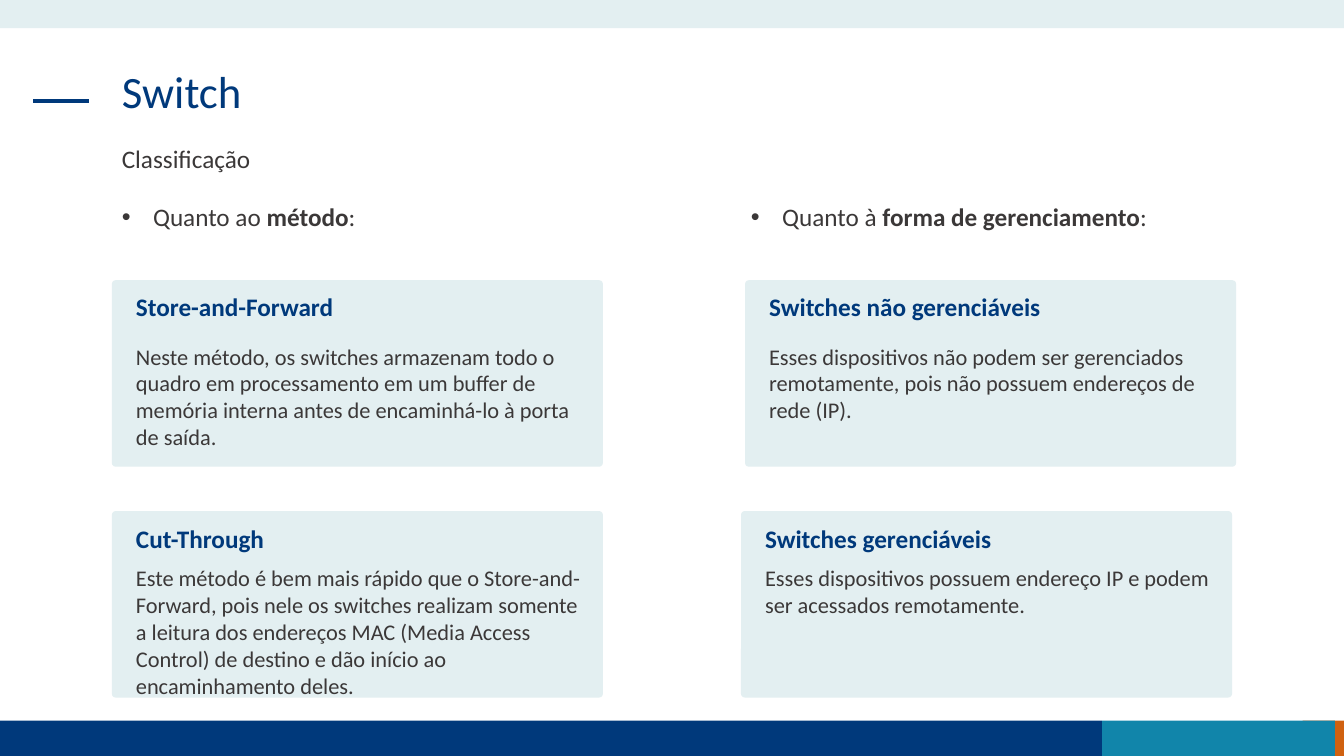
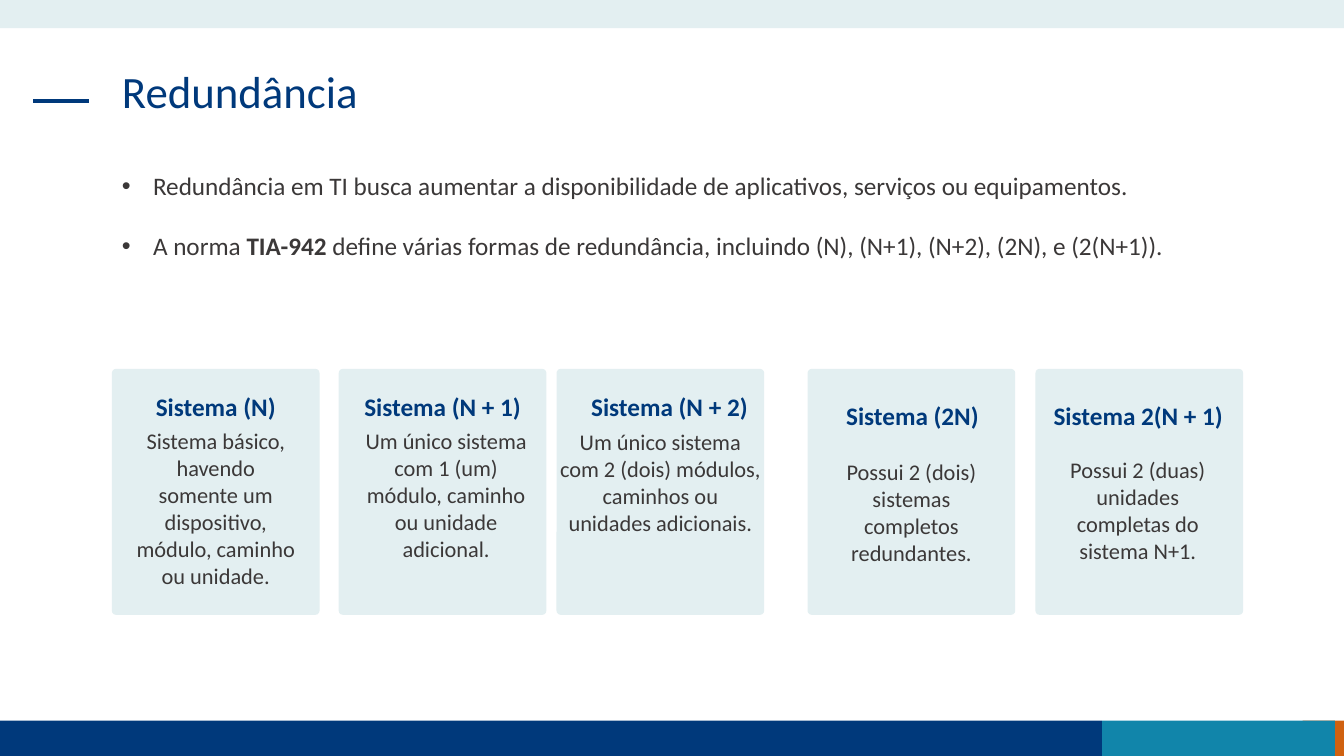
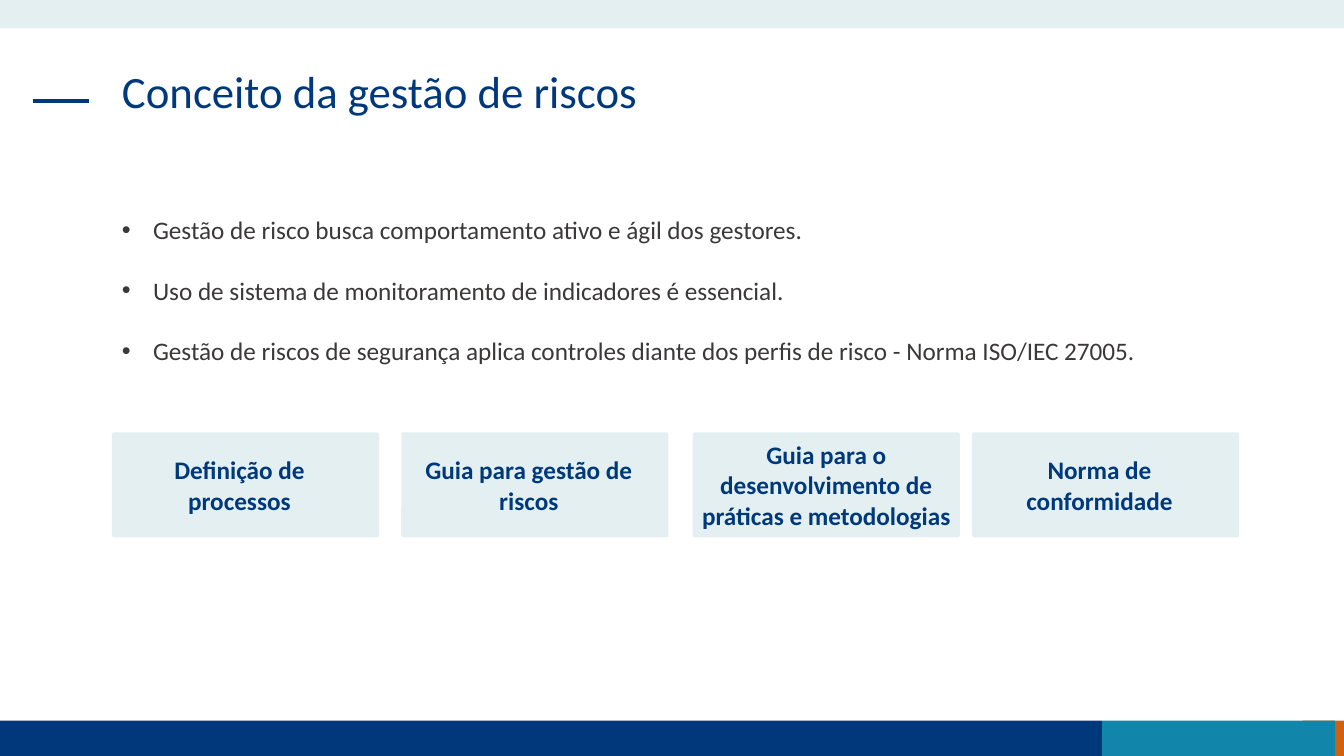
from lxml import etree
from pptx import Presentation
from pptx.dml.color import RGBColor
from pptx.enum import shapes, text
from pptx.oxml import ns
from pptx.util import Inches, Pt

FONT = "Calibri"
NAVY, TEAL, ORANGE, PALE, INK = "00397B", "1185AA", "D06110", "E3EFF1", "3B3838"
LEFT, WIDE = 1.11, 11.1

# Shared bands: left, top, width, height, colour
BANDS = [
    (12.92, 7.15, 0.41, 0.35, ORANGE),
    (0, 7.15, 10.93, 0.35, NAVY),
    (10.93, 7.15, 2.31, 0.35, TEAL),
    (0, 0, 13.33, 0.28, PALE),
]

# Switch: text between ** is bold
CRITERIA = [
    (LEFT, 2.99, "Quanto ao **método**:"),
    (7.35, 4.18, "Quanto à **forma de gerenciamento**:"),
]
SWITCH_CARD = (4.87, 1.85)
SWITCH_ROWS = [  # top, heading offset, body offset, body width, cards (left, heading, body)
    (2.78, 0.06, 0.57, 4.54, [
        (LEFT, "Store-and-Forward",
         "Neste método, os switches armazenam todo o quadro em processamento em um "
         "buffer de memória interna antes de encaminhá-lo à porta de saída."),
        (7.39, "Switches não gerenciáveis",
         "Esses dispositivos não podem ser gerenciados remotamente, pois não possuem "
         "endereços de rede (IP)."),
    ]),
    (5.07, 0.07, 0.48, 4.73, [
        (LEFT, "Cut-Through",
         "Este método é bem mais rápido que o Store-and-Forward, pois nele os switches "
         "realizam somente a leitura dos endereços MAC (Media Access Control) de destino "
         "e dão início ao encaminhamento deles."),
        (7.35, "Switches gerenciáveis",
         "Esses dispositivos possuem endereço IP e podem ser acessados remotamente."),
    ]),
]

# Redundância
REDUNDANCY_POINTS = [
    "Redundância em TI busca aumentar a disponibilidade de aplicativos, serviços ou equipamentos.",
    "A norma **TIA-942** define várias formas de redundância, incluindo (N), (N+1), (N+2), "
    "(2N), e (2(N+1)).",
]
SYSTEM_TOP, SYSTEM_CARD = 3.66, (2.06, 2.44)
SYSTEMS = [  # card left, heading (left, top, width), body (left, top, width), texts
    (1.11, (1.25, 3.83, 1.78), (1.25, 4.19, 1.78), "Sistema (N)",
     "Sistema básico, havendo somente um dispositivo, módulo, caminho ou unidade."),
    (3.36, (3.5, 3.83, 1.78), (3.43, 4.19, 1.99), "Sistema (N + 1)",
     "Um único sistema com 1 (um) módulo, caminho ou unidade adicional."),
    (5.52, (5.75, 3.83, 1.78), (5.45, 4.2, 2.2), "Sistema (N + 2)",
     "Um único sistema com 2 (dois) módulos, caminhos ou unidades adicionais."),
    (8.01, (8.16, 3.92, 1.78), (8.15, 4.5, 1.78), "Sistema (2N)",
     "Possui 2 (dois) sistemas completos redundantes."),
    (10.27, (10.33, 3.92, 1.92), (10.35, 4.48, 1.87), "Sistema 2(N + 1)",
     "Possui 2 (duas) unidades completas do sistema N+1."),
]

# Gestão de riscos
RISK_POINTS = [
    "Gestão de risco busca comportamento ativo e ágil dos gestores.",
    "Uso de sistema de monitoramento de indicadores é essencial.",
    "Gestão de riscos de segurança aplica controles diante dos perfis de risco - "
    "Norma ISO/IEC 27005.",
]
RISK_TOP, RISK_CARD = 4.29, (2.65, 1.04)
RISK_CARDS = [  # card left, text offset, text width, text
    (1.11, 0.12, 2.29, "Definição de processos"),
    (3.98, 0.12, 2.29, "Guia para gestão de riscos"),
    (6.87, -0.17, 2.99, "Guia para o desenvolvimento de práticas e metodologias"),
    (9.64, 0.12, 2.29, "Norma de conformidade"),
]


def rgb(value):
    return RGBColor.from_string(value)


def inches(*lengths):
    return [Inches(length) for length in lengths]


def add_bullet(paragraph):
    properties = paragraph._p.get_or_add_pPr()
    properties.set("marL", str(Inches(0.31)))
    properties.set("indent", str(-Inches(0.31)))
    etree.SubElement(properties, ns.qn("a:buFont")).set("typeface", "Arial")
    etree.SubElement(properties, ns.qn("a:buChar")).set("char", "•")


def write(frame, paragraphs, size=18, color=INK, bold=False, bullets=False,
          align=text.PP_ALIGN.LEFT, anchor=text.MSO_ANCHOR.TOP, gap=0, line=None):
    """Fill a text frame; every second part between ** marks is bold."""
    frame.word_wrap = True
    frame.auto_size = text.MSO_AUTO_SIZE.NONE
    frame.vertical_anchor = anchor
    for index, content in enumerate(paragraphs):
        paragraph = frame.add_paragraph() if index else frame.paragraphs[0]
        if bullets:
            add_bullet(paragraph)
        paragraph.alignment = align
        paragraph.line_spacing = line
        paragraph.space_before = Pt(gap if index else 0)
        for position, part in enumerate(content.split("**")):
            run = paragraph.add_run()
            run.text = part
            run.font.name, run.font.size = FONT, Pt(size)
            run.font.bold = bold or position % 2 == 1
            run.font.color.rgb = rgb(color)


def add_text(slide, box, *paragraphs, **style):
    write(slide.shapes.add_textbox(*inches(*box)).text_frame, paragraphs, **style)


def add_heading(slide, box, heading, **style):
    add_text(slide, box, heading, color=NAVY, bold=True, **style)


def add_block(slide, kind, box, color):
    block = slide.shapes.add_shape(kind, *inches(*box))
    block.shadow.inherit = False
    block.fill.solid()
    block.fill.fore_color.rgb = rgb(color)
    block.line.fill.background()
    return block


def add_card(slide, left, top, size):
    card = add_block(slide, shapes.MSO_SHAPE.ROUNDED_RECTANGLE, (left, top, *size), PALE)
    card.adjustments[0] = 0.02


def decorate_layout(layout, slide):
    """Draw the bands and title dash, then move them to the shared layout."""
    parts = [add_block(slide, shapes.MSO_SHAPE.RECTANGLE, box, color) for *box, color in BANDS]
    dash = slide.shapes.add_connector(shapes.MSO_CONNECTOR.STRAIGHT, *inches(0.33, 1, 0.88, 1))
    dash.line.color.rgb = rgb(NAVY)
    dash.line.width = Pt(3)
    etree.SubElement(dash.element.spPr, ns.qn("a:effectLst"))
    for part in parts + [dash]:
        layout.shapes.element.append(part.element)


def add_slide(deck, layout, title):
    slide = deck.slides.add_slide(layout)
    holder = slide.shapes.title
    holder.left, holder.top, holder.width, holder.height = inches(LEFT, 0.64, WIDE, 0.94)
    write(holder.text_frame, [title], size=32, color=NAVY, line=0.9)
    return slide


def fill_switch(slide):
    add_text(slide, (LEFT, 1.37, WIDE, 0.4), "Classificação")
    for left, width, criterion in CRITERIA:
        add_text(slide, (left, 1.95, width, 0.4), criterion, bullets=True)
    for top, heading_dy, body_dy, body_width, cards in SWITCH_ROWS:
        for left, heading, body in cards:
            add_card(slide, left, top, SWITCH_CARD)
            add_heading(slide, (left + 0.14, top + heading_dy, 4.22, 0.4), heading)
            add_text(slide, (left + 0.14, top + body_dy, body_width, 1.45), body, size=16)


def fill_redundancy(slide):
    center = text.PP_ALIGN.CENTER
    add_text(slide, (LEFT, 1.64, WIDE, 1.01), *REDUNDANCY_POINTS, bullets=True, gap=21.5)
    for left, heading_box, body_box, heading, body in SYSTEMS:
        add_card(slide, left, SYSTEM_TOP, SYSTEM_CARD)
        add_heading(slide, (*heading_box, 0.4), heading, align=center)
        add_text(slide, (*body_box, 1.5), body, size=16, align=center)


def fill_risk(slide):
    add_text(slide, (LEFT, 2.08, WIDE, 1.62), *RISK_POINTS, bullets=True, gap=21.5)
    for left, offset, width, heading in RISK_CARDS:
        add_card(slide, left, RISK_TOP, RISK_CARD)
        add_heading(slide, (left + offset, RISK_TOP, width, RISK_CARD[1]), heading,
                    align=text.PP_ALIGN.CENTER, anchor=text.MSO_ANCHOR.MIDDLE)


SLIDES = [
    ("Switch", fill_switch),
    ("Redundância", fill_redundancy),
    ("Conceito da gestão de riscos", fill_risk),
]


def main():
    deck = Presentation()
    deck.slide_width, deck.slide_height = inches(13.33, 7.5)
    layout = deck.slide_layouts[5]
    for index, (title, fill) in enumerate(SLIDES):
        slide = add_slide(deck, layout, title)
        if index == 0:
            decorate_layout(layout, slide)
        fill(slide)
    deck.save("out.pptx")


if __name__ == "__main__":
    main()
